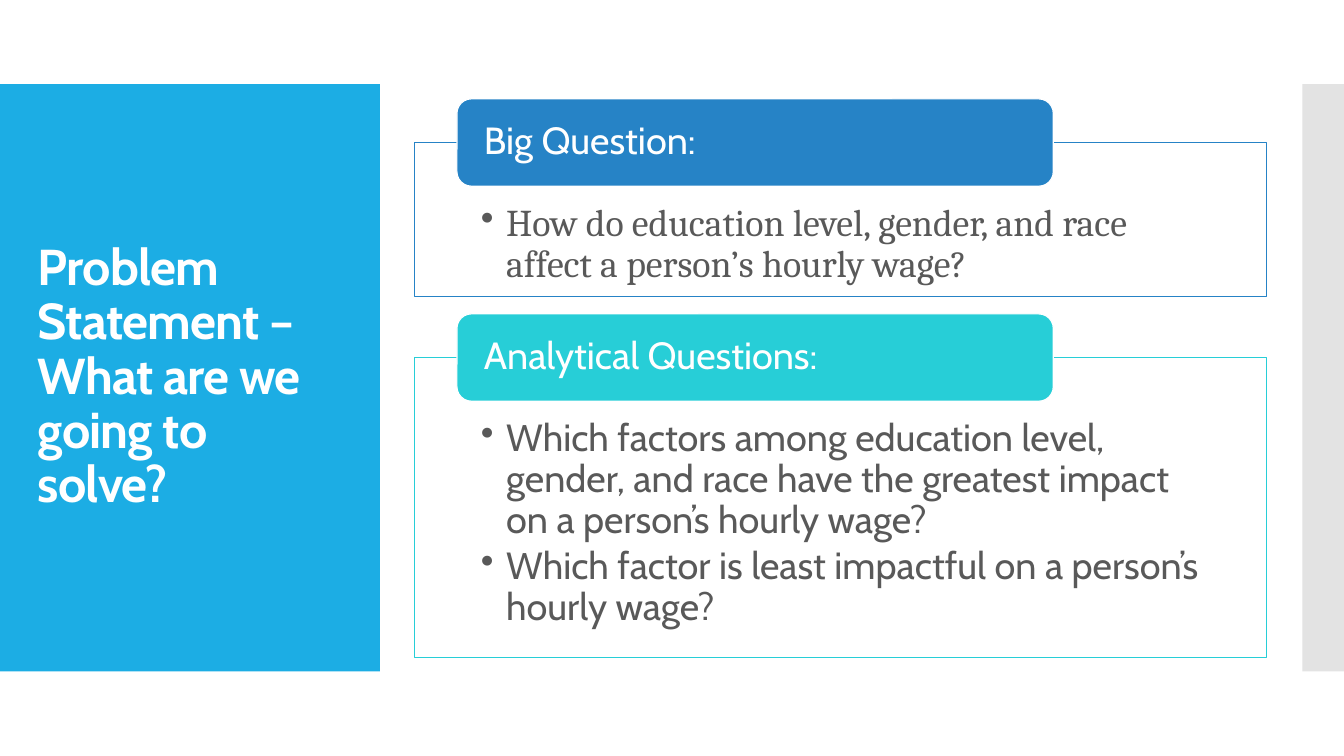
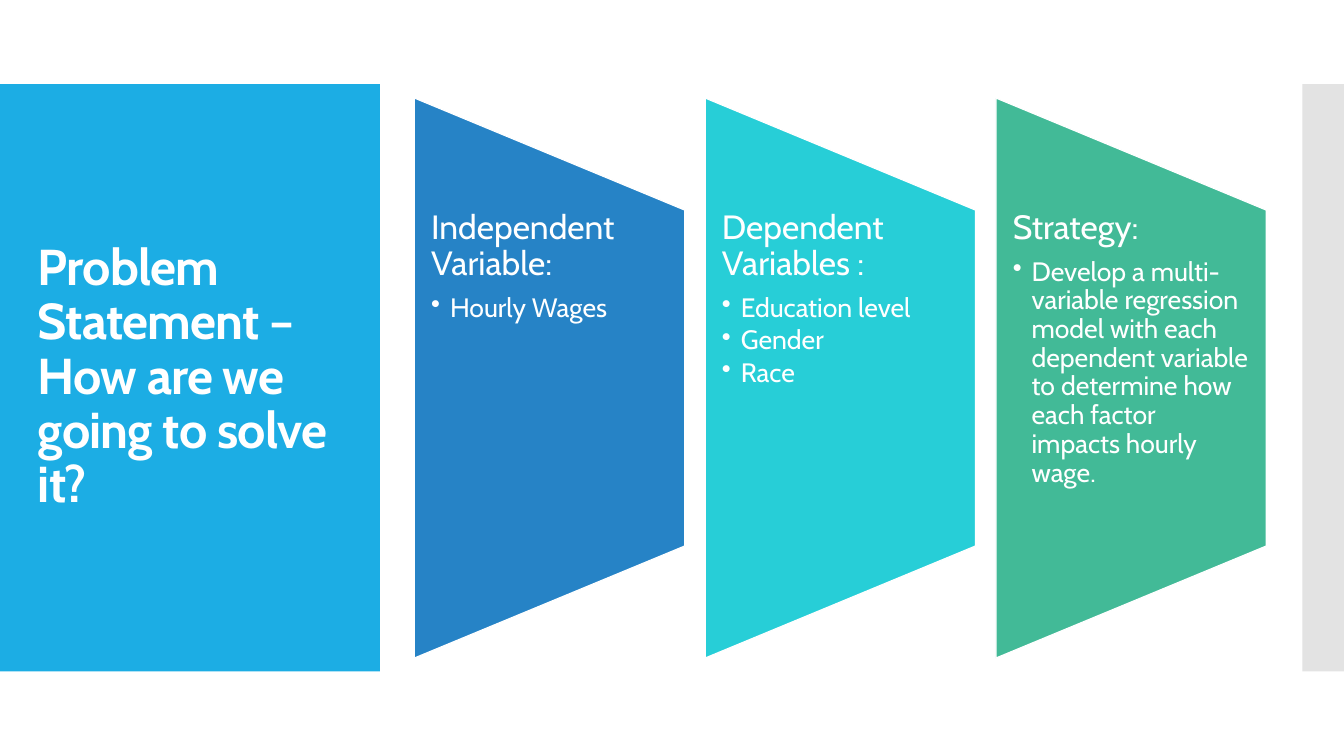
from lxml.etree import SubElement
from pptx import Presentation
from pptx.dml.color import RGBColor
from pptx.enum.shapes import MSO_SHAPE
from pptx.enum.text import MSO_ANCHOR, PP_ALIGN
from pptx.oxml.ns import qn
from pptx.util import Pt

# Colours and fonts
WHITE = RGBColor(0xFF, 0xFF, 0xFF)
SKY = RGBColor(0x1C, 0xAD, 0xE4)
BLUE = RGBColor(0x26, 0x83, 0xC6)
TEAL = RGBColor(0x27, 0xCE, 0xD7)
GREEN = RGBColor(0x42, 0xBA, 0x97)
PALE = RGBColor(0xE3, 0xE3, 0xE3)
GREY = RGBColor(0x59, 0x59, 0x59)
SANS = "Cabin"
SERIF = "Cambria"

# Content area, in points
LEFT, WIDTH = 296, 608.4
MID = 270


class Deck:
    def __init__(self):
        self.prs = Presentation()
        self.prs.slide_width = Pt(960)
        self.prs.slide_height = Pt(540)
        self.slide = None

    def start(self, title):
        """Add a slide with the side bands and the title."""
        self.slide = self.prs.slides.add_slide(self.prs.slide_layouts[6])
        self.shape(MSO_SHAPE.RECTANGLE, 0, 60, 271.4, 419.5, SKY)
        self.shape(MSO_SHAPE.RECTANGLE, 930.4, 60, 29.6, 419.5, PALE)
        frame = self.text(20, 88.8, 232, 362, (7.2, 3.6, 7.2, 3.6))
        frame.vertical_anchor = MSO_ANCHOR.MIDDLE
        run = self.para(frame, title, 36)
        run.font.bold = True
        run.font._element.set("spc", "-60")

    def shape(self, kind, x, y, w, h, fill, line=None):
        item = self.slide.shapes.add_shape(kind, Pt(x), Pt(y), Pt(w), Pt(h))
        item.shadow.inherit = False
        item.fill.solid()
        item.fill.fore_color.rgb = fill
        if line is None:
            item.line.fill.background()
        else:
            item.line.color.rgb = line
            item.line.width = Pt(0.85)
        return item

    def text(self, x, y, w, h, pads):
        box = self.slide.shapes.add_textbox(Pt(x), Pt(y), Pt(w), Pt(h))
        return self.frame(box, pads)

    def frame(self, item, pads):
        frame = item.text_frame
        frame.word_wrap = True
        frame.vertical_anchor = MSO_ANCHOR.TOP
        (frame.margin_left, frame.margin_top,
         frame.margin_right, frame.margin_bottom) = map(Pt, pads)
        return frame

    def para(self, frame, text, size, color=WHITE, font=SANS, after=0, dent=0):
        """Fill the first empty paragraph, or add one; dent makes a bullet."""
        para = frame.paragraphs[0]
        if para.text:
            para = frame.add_paragraph()
        para.text = text
        if dent:
            props = para._p.get_or_add_pPr()
            props.set("marL", str(Pt(dent)))
            props.set("indent", str(-Pt(dent)))
            SubElement(props, qn("a:buChar")).set("char", "•")
        para.alignment = PP_ALIGN.LEFT
        para.line_spacing = 0.9
        para.space_after = Pt(after)
        run = para.runs[0]
        run.font.size = Pt(size)
        run.font.name = font
        run.font.color.rgb = color
        return run

    def panel(self, y, h, color, head, items, font):
        """Outlined box with a rounded tab across its top edge."""
        box = self.shape(MSO_SHAPE.RECTANGLE, LEFT, y, WIDTH, h, WHITE, color)
        frame = self.frame(box, (47.5, 44, 47.5, 15))
        for item in items:
            self.para(frame, item, 27, GREY, font, after=4, dent=18)
        tab = self.shape(MSO_SHAPE.ROUNDED_RECTANGLE, LEFT + 30.4, y - 31,
                         426, 62.4, color, WHITE)
        frame = self.frame(tab, (16.2, 0, 16.2, 0))
        frame.vertical_anchor = MSO_ANCHOR.MIDDLE
        self.para(frame, head, 27)

    def column(self, x, w, color, head, items):
        """Tapered block, turned to point right, with text over it."""
        long = 400
        block = self.shape(MSO_SHAPE.FLOWCHART_MANUAL_OPERATION,
                           x + (w - long) / 2, MID - w / 2, long, w,
                           color, WHITE)
        block.rotation = 270
        frame = self.text(x, MID - 120, w, 240, (12, 0, 12, 0))
        self.para(frame, head, 24, after=8.4)
        for item in items:
            self.para(frame, item, 19, after=2.8, dent=13.5)


def main():
    deck = Deck()

    # Questions
    deck.start("Problem Statement – What are we going to solve?")
    deck.panel(101.6, 110.4, BLUE, "Big Question:", [
        "How do education level, gender, and race affect a person’s "
        "hourly wage?"], SERIF)
    deck.panel(255.2, 214.4, TEAL, "Analytical Questions:", [
        "Which factors among education level, gender, and race have the "
        "greatest impact on a person’s hourly wage?",
        "Which factor is least impactful on a person’s hourly wage?"], SANS)

    # Variables and strategy
    deck.start("Problem Statement – How are we going to solve it?")
    cols = [
        (BLUE, "Independent Variable:", ["Hourly Wages"]),
        (TEAL, "Dependent Variables :", ["Education level", "Gender", "Race"]),
        (GREEN, "Strategy:", [
            "Develop a multi-variable regression model with each dependent "
            "variable to determine how each factor impacts hourly wage."]),
    ]
    gap = 14.7
    wide = (WIDTH - gap * (len(cols) - 1)) / len(cols)
    for i, col in enumerate(cols):
        deck.column(LEFT + i * (wide + gap), wide, *col)

    deck.prs.save("out.pptx")


if __name__ == "__main__":
    main()
